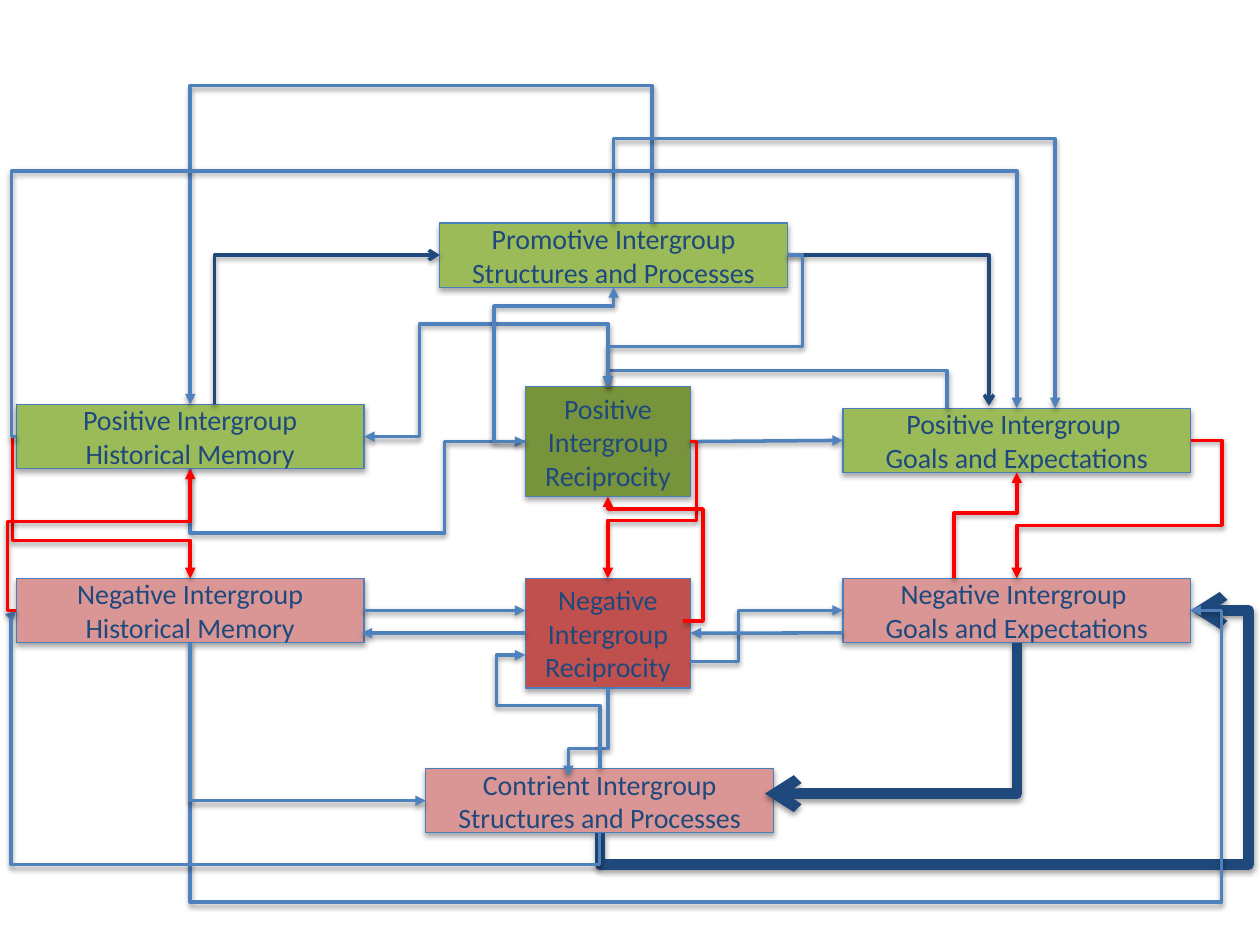
from lxml import etree
from pptx import Presentation
from pptx.dml.color import RGBColor
from pptx.enum.shapes import MSO_CONNECTOR, MSO_SHAPE
from pptx.enum.text import MSO_ANCHOR, PP_ALIGN
from pptx.oxml.ns import qn
from pptx.util import Inches, Pt

STRAIGHT, ELBOW = MSO_CONNECTOR.STRAIGHT, MSO_CONNECTOR.ELBOW
RECTANGLE, MIDDLE, CENTER = MSO_SHAPE.RECTANGLE, MSO_ANCHOR.MIDDLE, PP_ALIGN.CENTER
TOP, LEFT, BOTTOM, RIGHT = range(4)

NAVY = RGBColor(0x1F, 0x49, 0x7D)
BLUE = RGBColor(0x4F, 0x81, 0xBD)
OUTLINE = RGBColor(0x4B, 0x7E, 0xBC)
RED = RGBColor(0xFF, 0x00, 0x00)
GREEN = RGBColor(0x9B, 0xBB, 0x59)
DARK_GREEN = RGBColor(0x77, 0x93, 0x3C)
PINK = RGBColor(0xD9, 0x96, 0x94)
DARK_RED = RGBColor(0xC0, 0x50, 0x4D)

WIDE = (2.76, 0.51)
SQUARE = (1.31, 0.87)
MEMORY_X, RECIPROCITY_X, GOALS_X = 0.13, 4.17, 6.69
NEGATIVE_Y = 4.59

# key: (text, left, top, size, fill)
BOXES = {
    "pos reciprocity": ("Positive Intergroup Reciprocity", RECIPROCITY_X, 3.07, SQUARE, DARK_GREEN),
    "neg reciprocity": ("Negative Intergroup Reciprocity", RECIPROCITY_X, NEGATIVE_Y, SQUARE, DARK_RED),
    "promotive": ("Promotive Intergroup Structures and Processes", 3.49, 1.77, WIDE, GREEN),
    "contrient": ("Contrient Intergroup Structures and Processes", 3.38, 6.1, WIDE, PINK),
    "pos goals": ("Positive Intergroup \nGoals and Expectations", GOALS_X, 3.24, WIDE, GREEN),
    "neg goals": ("Negative Intergroup \nGoals and Expectations", GOALS_X, NEGATIVE_Y, WIDE, PINK),
    "pos memory": ("Positive Intergroup Historical Memory", MEMORY_X, 3.21, WIDE, GREEN),
    "neg memory": ("Negative Intergroup Historical Memory", MEMORY_X, NEGATIVE_Y, WIDE, PINK),
}

# Styles are (colour, width, arrowhead)
NAVY_THIN = (NAVY, 2, "arrow")
NAVY_THICK = (NAVY, 6, "arrow")
BLUE_THIN = (BLUE, 2, "triangle")
RED_THIN = (RED, 2, "triangle")

# (style, start, end, lanes); start and end are (box, side, share along side, inset),
# lanes are the x or y positions of the legs between them
ROUTES = [
    (NAVY_THIN, ("promotive", RIGHT), ("pos goals", TOP, 0.42, -0.02), ()),
    (NAVY_THICK, ("contrient", BOTTOM), ("neg goals", RIGHT), (6.86, 9.91)),
    (NAVY_THICK, ("neg goals", BOTTOM), ("contrient", RIGHT, 0.39, 0.07), ()),
    (NAVY_THIN, ("pos memory", TOP, 0.57), ("promotive", LEFT), ()),
    (BLUE_THIN, ("neg memory", BOTTOM), ("neg goals", RIGHT), (7.16, 9.7)),
    (BLUE_THIN, ("contrient", BOTTOM), ("neg memory", LEFT), (6.86, 0.09)),
    (BLUE_THIN, ("neg memory", BOTTOM), ("contrient", LEFT), ()),
    (BLUE_THIN, ("neg reciprocity", LEFT), ("neg memory", RIGHT, 0.85, 0.02), ()),
    (BLUE_THIN, ("neg memory", RIGHT), ("neg reciprocity", LEFT, 0.3), ()),
    (BLUE_THIN, ("pos reciprocity", RIGHT), ("pos goals", LEFT), ()),
    (BLUE_THIN, ("pos goals", TOP, 0.3), ("pos reciprocity", TOP), (2.94,)),
    (BLUE_THIN, ("pos reciprocity", TOP), ("pos memory", RIGHT), (2.57, 3.33)),
    (BLUE_THIN, ("pos memory", BOTTOM), ("pos reciprocity", LEFT), (4.23, 3.53)),
    (BLUE_THIN, ("neg reciprocity", RIGHT, 0.76), ("neg goals", LEFT), (5.86,)),
    (BLUE_THIN, ("neg goals", LEFT, 0.85), ("neg reciprocity", RIGHT), ()),
    (BLUE_THIN, ("neg reciprocity", BOTTOM), ("contrient", TOP, 0.41, 0.06), (5.94,)),
    (BLUE_THIN, ("contrient", TOP), ("neg reciprocity", LEFT, 0.7), (5.6, 3.94)),
    (RED_THIN, ("pos reciprocity", RIGHT), ("neg reciprocity", TOP), (5.53, 4.13)),
    (RED_THIN, ("neg reciprocity", RIGHT, 0.39, 0.06), ("pos reciprocity", BOTTOM), (5.58, 4.04)),
    (RED_THIN, ("pos goals", RIGHT), ("neg goals", TOP), (9.7, 4.17)),
    (RED_THIN, ("neg goals", TOP, 0.32), ("pos goals", BOTTOM), (4.07,)),
    (RED_THIN, ("pos memory", LEFT), ("neg memory", TOP), (0.1, 4.29)),
    (RED_THIN, ("neg memory", LEFT), ("pos memory", BOTTOM), (0.06, 4.14)),
    (BLUE_THIN, ("promotive", TOP, 0.61), ("pos memory", TOP), (0.68,)),
    (BLUE_THIN, ("promotive", TOP), ("pos goals", TOP, 0.61), (1.1,)),
    (BLUE_THIN, ("promotive", RIGHT), ("pos reciprocity", TOP), (6.37, 2.75)),
    (BLUE_THIN, ("pos reciprocity", LEFT), ("promotive", BOTTOM), (3.92, 2.43)),
    (BLUE_THIN, ("pos memory", LEFT), ("pos goals", TOP), (0.09, 1.36)),
]


def child(parent, tag, **attributes):
    return etree.SubElement(parent, qn(tag), **attributes)


def add_shadow(shape, distance, opacity):
    effects = child(shape._element.spPr, "a:effectLst")
    shadow = child(effects, "a:outerShdw", blurRad=str(Pt(3.1)), dist=str(Pt(distance)),
                   dir="5400000", rotWithShape="0")
    child(child(shadow, "a:srgbClr", val="000000"), "a:alpha", val=str(opacity * 1000))


def add_box(slide, text, left, top, size, fill):
    box = slide.shapes.add_shape(RECTANGLE, *map(Inches, (left, top, *size)))
    box.fill.solid()
    box.fill.fore_color.rgb = fill
    box.line.color.rgb = OUTLINE
    box.line.width = Pt(0.75)
    add_shadow(box, 1.8, 35)
    box.text_frame.text = text
    box.text_frame.vertical_anchor = MIDDLE
    for paragraph in box.text_frame.paragraphs:
        paragraph.alignment = CENTER
        for run in paragraph.runs:
            run.font.name = "Calibri"
            run.font.size = Pt(16)
            run.font.color.rgb = NAVY
    return box


def anchor_point(key, side, share=0.5, inset=0):
    _, left, top, (width, height), _ = BOXES[key]
    if side in (TOP, BOTTOM):
        return left + share * width, top + inset if side == TOP else top + height - inset
    return left + inset if side == LEFT else left + width - inset, top + share * height


def add_elbow(slide, start, end, lanes, vertical):
    """Elbow connector whose first leg is vertical or horizontal and whose inner legs lie on the lanes."""
    (x0, y0), (x1, y1) = start, end
    dx, dy = x1 - x0, y1 - y0
    width, height = (abs(dy), abs(dx)) if vertical else (abs(dx), abs(dy))
    left, top = (x0 + x1 - width) / 2, (y0 + y1 - height) / 2
    connector = slide.shapes.add_connector(
        ELBOW, *map(Inches, (left, top, left + width, top + height)))

    turn, flip_h, flip_v = 0, dx < 0, dy < 0
    if vertical:
        # A quarter turn lays the first leg along y
        turn, flip_h, flip_v = (270, True, False) if dx > 0 and dy > 0 else (90, dy < 0, dx > 0)
    properties = connector._element.spPr
    frame = properties.find(qn("a:xfrm"))
    for name, value in (("rot", turn * 60000), ("flipH", int(flip_h)), ("flipV", int(flip_v))):
        if value:
            frame.set(name, str(value))

    geometry = properties.find(qn("a:prstGeom"))
    geometry.set("prst", f"bentConnector{len(lanes) + 2}")
    guides = geometry.find(qn("a:avLst"))
    axes = [(x0, dx), (y0, dy)]
    if vertical:
        axes.reverse()
    for number, (lane, (origin, span)) in enumerate(zip(lanes, axes), 1):
        share = round((lane - origin) / span * 100000)
        child(guides, "a:gd", name=f"adj{number}", fmla=f"val {share}")
    return connector


def add_straight(slide, boxes, start, end):
    (x0, y0), (x1, _) = anchor_point(*start), anchor_point(*end)
    connector = slide.shapes.add_connector(STRAIGHT, *map(Inches, (x0, y0, x1, y0)))
    for anchor, connect in ((start, connector.begin_connect), (end, connector.end_connect)):
        if len(anchor) == 2:
            key, side = anchor
            connect(boxes[key], side)
    return connector


def add_route(slide, boxes, style, start, end, lanes):
    colour, width, head = style
    start_side, end_side = start[1], end[1]
    if not lanes and {start_side, end_side} == {LEFT, RIGHT}:
        connector = add_straight(slide, boxes, start, end)
    else:
        connector = add_elbow(slide, anchor_point(*start), anchor_point(*end), lanes,
                              start_side in (TOP, BOTTOM))
    connector.line.color.rgb = colour
    connector.line.width = Pt(width)
    child(connector._element.spPr.find(qn("a:ln")), "a:tailEnd", type=head)
    add_shadow(connector, 1.6, 38)


def main():
    deck = Presentation()
    deck.slide_width, deck.slide_height = Inches(10), Inches(7.5)
    slide = deck.slides.add_slide(deck.slide_layouts[6])
    boxes = {key: add_box(slide, *box) for key, box in BOXES.items()}
    for route in ROUTES:
        add_route(slide, boxes, *route)
    deck.save("out.pptx")


if __name__ == "__main__":
    main()
